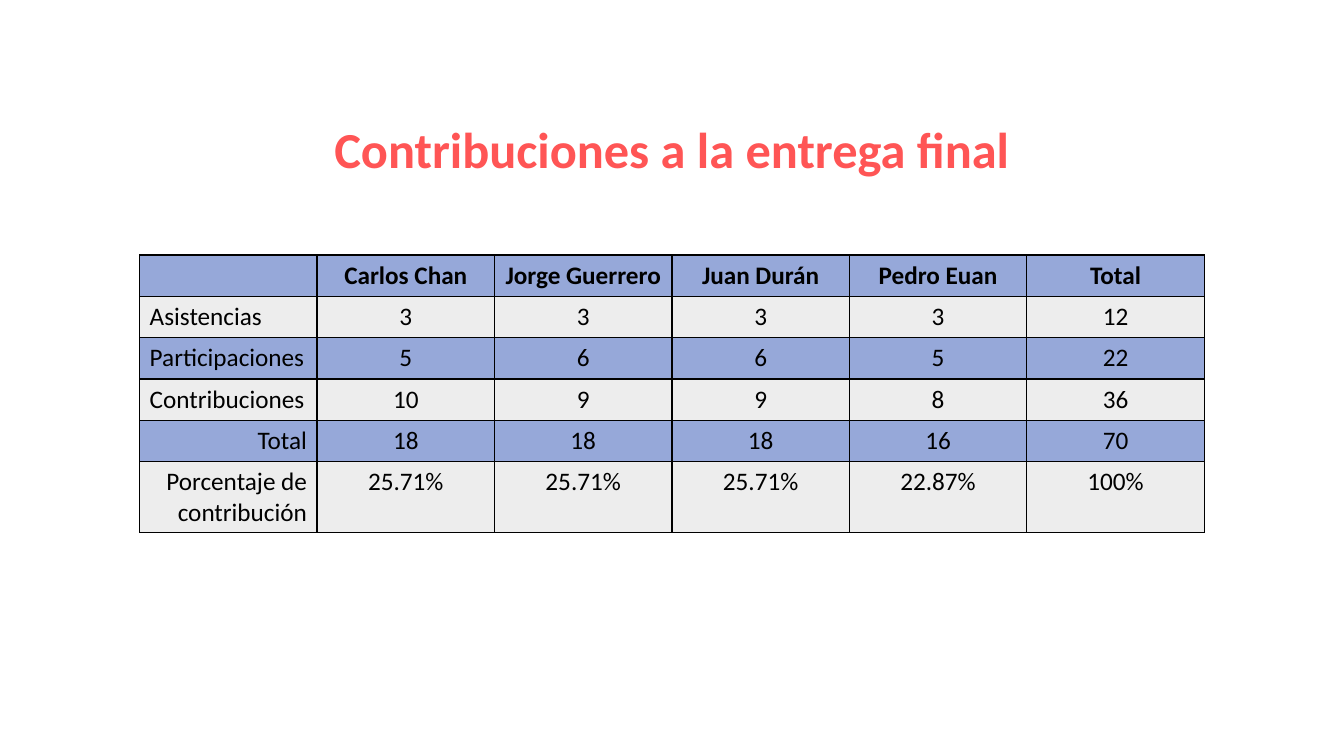
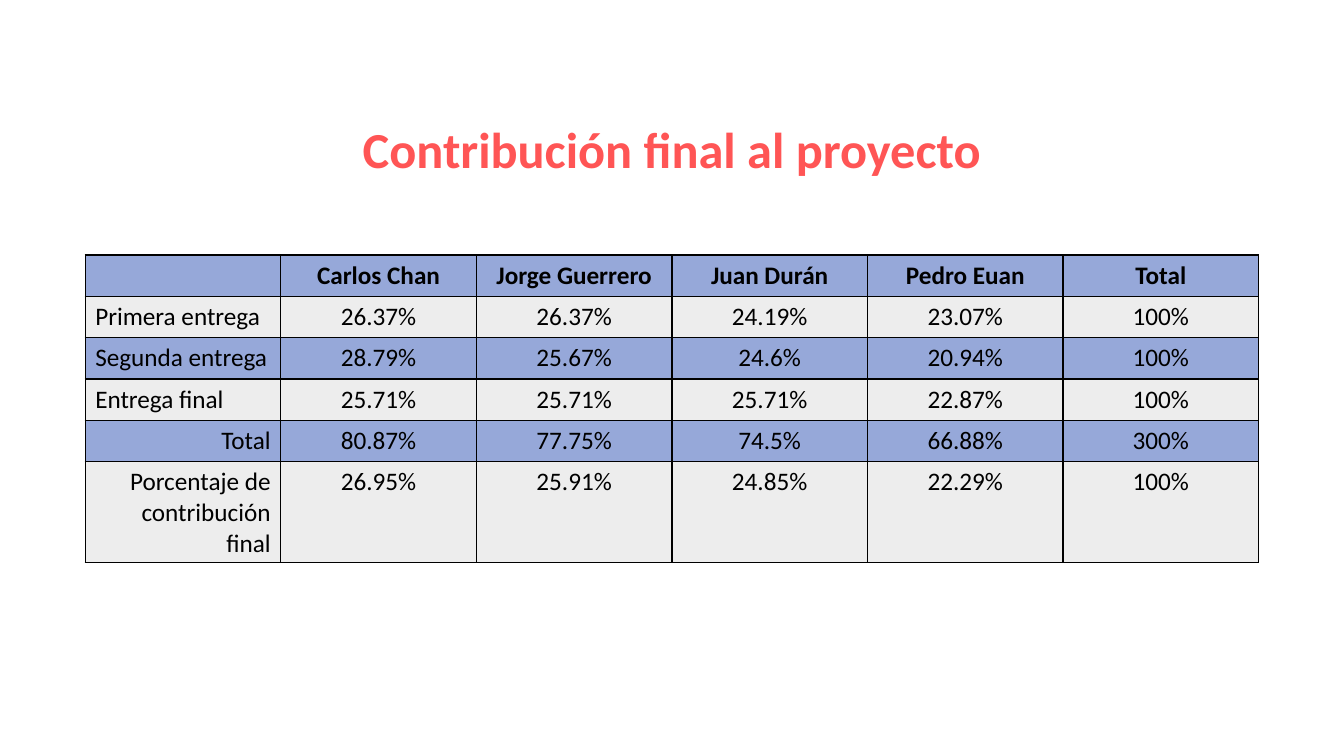
import pptx
import pptx.util
import pptx.dml.color
import pptx.enum.text
import pptx.oxml.ns
import lxml.etree

Inches = pptx.util.Inches
Pt = pptx.util.Pt
RGBColor = pptx.dml.color.RGBColor
Align = pptx.enum.text.PP_ALIGN

# Shared look
CORAL = RGBColor(0xFF, 0x55, 0x55)
BLUE = RGBColor(0x96, 0xA8, 0xD9)
GRAY = RGBColor(0xED, 0xED, 0xED)
BLACK = RGBColor(0x00, 0x00, 0x00)
FONT = "Calibri"
SLIDE_WIDTH = 13.33
TITLE_TOP, TITLE_HEIGHT = 1.12, 0.71
TABLE_TOP, ROW_HEIGHT = 2.53, 0.41

# Content: title, title width, column width, table rows
HEADER = ["", "Carlos Chan", "Jorge Guerrero", "Juan Durán", "Pedro Euan", "Total"]
SLIDES = [
    ("Contribuciones a la entrega final", 6.98, 1.76, [
        HEADER,
        ["Asistencias", "3", "3", "3", "3", "12"],
        ["Participaciones", "5", "6", "6", "5", "22"],
        ["Contribuciones", "10", "9", "9", "8", "36"],
        ["Total", "18", "18", "18", "16", "70"],
        ["Porcentaje de contribución", "25.71%", "25.71%", "25.71%", "22.87%", "100%"],
    ]),
    ("Contribución final al proyecto", 6.41, 1.94, [
        HEADER,
        ["Primera entrega", "26.37%", "26.37%", "24.19%", "23.07%", "100%"],
        ["Segunda entrega", "28.79%", "25.67%", "24.6%", "20.94%", "100%"],
        ["Entrega final", "25.71%", "25.71%", "25.71%", "22.87%", "100%"],
        ["Total", "80.87%", "77.75%", "74.5%", "66.88%", "300%"],
        ["Porcentaje de contribución final", "26.95%", "25.91%", "24.85%", "22.29%", "100%"],
    ]),
]


def style_paragraph(para, size, color, bold, align):
    para.alignment = align
    para.font.name = FONT
    para.font.size = Pt(size)
    para.font.color.rgb = color
    para.font.bold = bold


def add_borders(cell):
    qn = pptx.oxml.ns.qn
    properties = cell._tc.get_or_add_tcPr()
    for side in ("a:lnL", "a:lnR", "a:lnT", "a:lnB"):
        line = lxml.etree.SubElement(properties, qn(side), w=str(Pt(1)))
        fill = lxml.etree.SubElement(line, qn("a:solidFill"))
        lxml.etree.SubElement(fill, qn("a:srgbClr"), val=str(BLACK))


deck = pptx.Presentation()
deck.slide_width = Inches(SLIDE_WIDTH)
deck.slide_height = Inches(7.5)

for title, title_width, column_width, rows in SLIDES:
    page = deck.slides.add_slide(deck.slide_layouts[6])

    # Centred title
    box = page.shapes.add_textbox(
        Inches((SLIDE_WIDTH - title_width) / 2), Inches(TITLE_TOP),
        Inches(title_width), Inches(TITLE_HEIGHT))
    box.text_frame.word_wrap = False
    box.text_frame.auto_size = pptx.enum.text.MSO_AUTO_SIZE.SHAPE_TO_FIT_TEXT
    para = box.text_frame.paragraphs[0]
    para.text = title
    style_paragraph(para, 36, CORAL, True, Align.CENTER)

    # Centred table with alternating rows
    table_width = column_width * len(HEADER)
    table = page.shapes.add_table(
        len(rows), len(HEADER),
        Inches((SLIDE_WIDTH - table_width) / 2), Inches(TABLE_TOP),
        Inches(table_width), Inches(ROW_HEIGHT * len(rows))).table
    for row_index, row in enumerate(rows):
        for column_index, text in enumerate(row):
            cell = table.cell(row_index, column_index)
            add_borders(cell)
            cell.fill.solid()
            cell.fill.fore_color.rgb = GRAY if row_index % 2 else BLUE
            # Row labels sit left, the two summary labels right
            if column_index > 0:
                align = Align.CENTER
            elif row_index >= len(rows) - 2:
                align = Align.RIGHT
            else:
                align = Align.LEFT
            para = cell.text_frame.paragraphs[0]
            para.text = text
            style_paragraph(para, 18, BLACK, row_index == 0, align)

deck.save("out.pptx")
